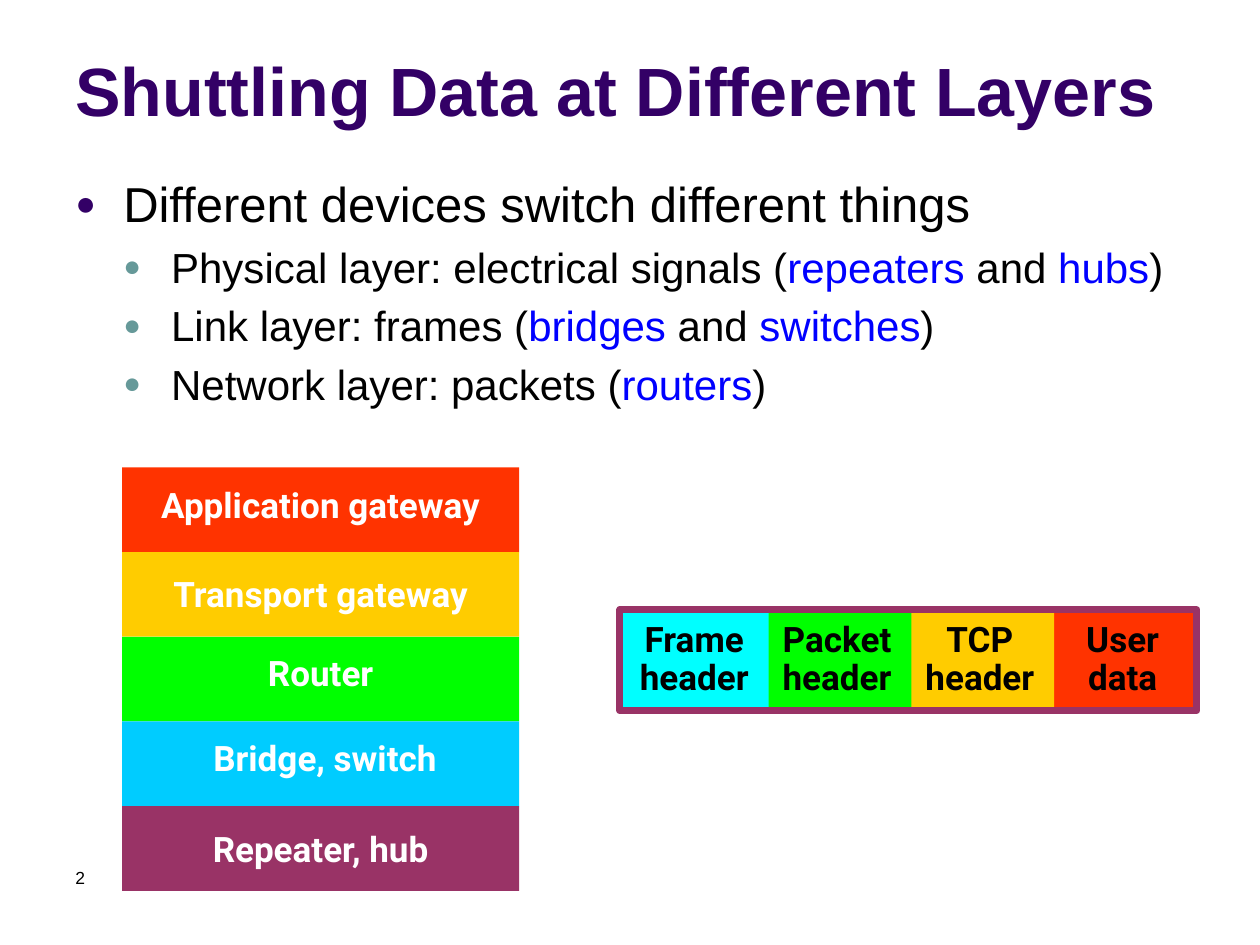
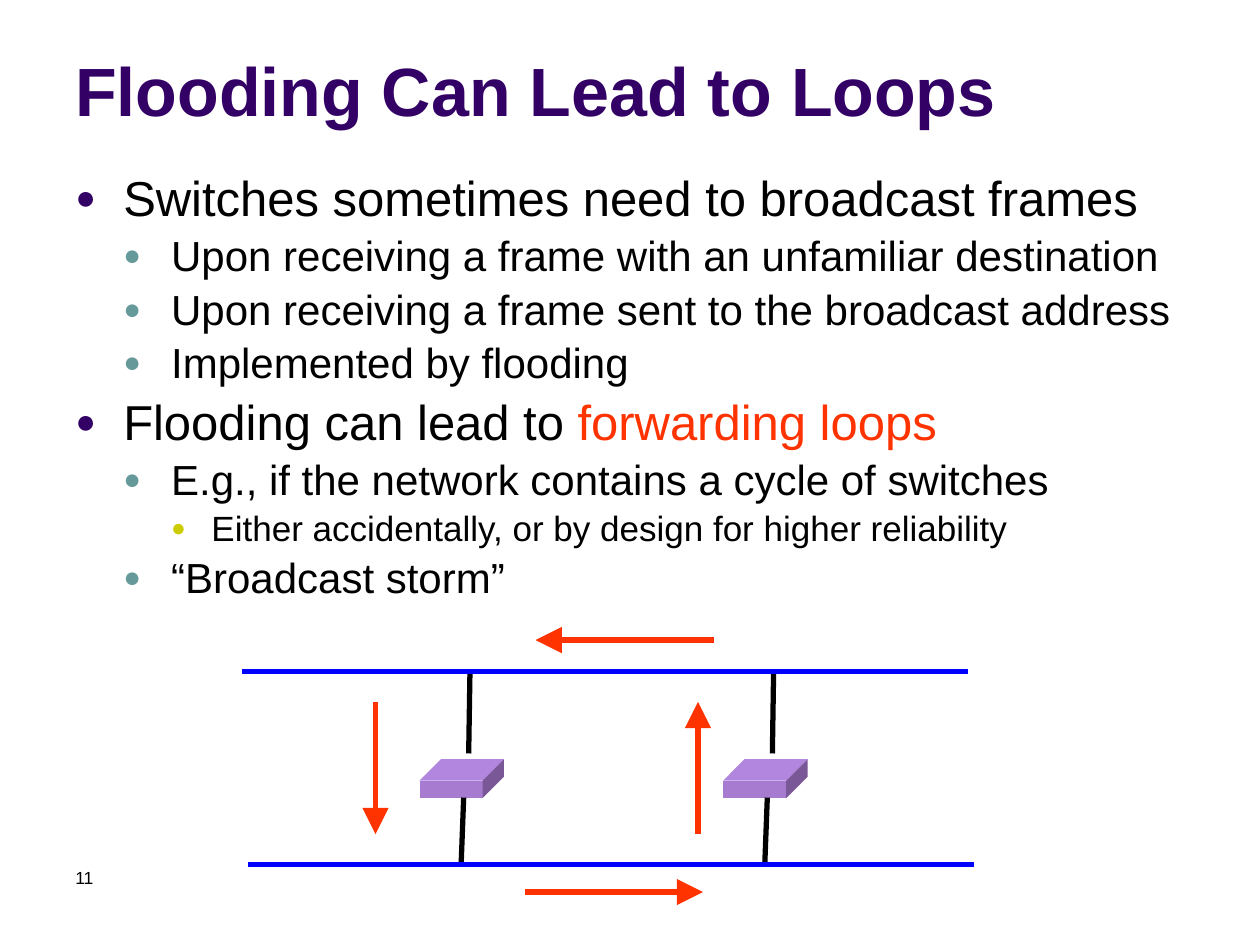
from lxml import etree
from pptx import Presentation
from pptx.dml.color import RGBColor
from pptx.enum.shapes import MSO_CONNECTOR, MSO_SHAPE
from pptx.enum.text import MSO_ANCHOR, PP_ALIGN
from pptx.oxml.ns import qn
from pptx.util import Inches, Pt

RECTANGLE = MSO_SHAPE.RECTANGLE
STRAIGHT = MSO_CONNECTOR.STRAIGHT
TOP, MIDDLE, BOTTOM = MSO_ANCHOR.TOP, MSO_ANCHOR.MIDDLE, MSO_ANCHOR.BOTTOM
LEFT, CENTER = PP_ALIGN.LEFT, PP_ALIGN.CENTER

SLIDE_WIDTH, SLIDE_HEIGHT = Inches(10), Inches(7.5)
COLUMNS = 100
CELL = SLIDE_WIDTH / COLUMNS

THEME = {
    "text_font": "Arial",
    "label_font": "Roboto",
    "sizes": {"title": 39, "label": 20, "number": 10},
    "levels": [
        {"size": 28, "bullet": "330066", "indent": 3.8, "hang": 3.8},
        {"size": 24, "bullet": "669999", "indent": 7.6, "hang": 3.8},
        {"size": 20, "bullet": "CCCC00", "indent": 10.8, "hang": 3.2},
    ],
    "colors": {
        "title": "330066", "black": "000000", "white": "FFFFFF",
        "blue": "0000FF", "red": "FF3300", "amber": "FFCC00",
        "green": "00FF00", "cyan": "00FFFF", "sky": "00CCFF",
        "plum": "993366", "front": "A77CD0", "top": "B286DE", "side": "7A5898",
    },
    "line": 3,
    "frame": 4,
}

TITLE_BOX = (5, 1.3, 90, 9.5)
NUMBER_BOX = (5, 68.3, 23.3, 5)

LAYERS_SLIDE = {
    "title": "Shuttling Data at Different Layers",
    "number": "2",
    "body_box": (5, 13.3, 92.5, 22.9),
    "line_spacing": 1.0,
    "body": [
        (0, [("Different devices switch different things", "black")]),
        (1, [("Physical layer: electrical signals (", "black"), ("repeaters", "blue"),
             (" and ", "black"), ("hubs", "blue"), (")", "black")]),
        (1, [("Link layer: frames (", "black"), ("bridges", "blue"),
             (" and ", "black"), ("switches", "blue"), (")", "black")]),
        (1, [("Network layer: packets (", "black"), ("routers", "blue"), (")", "black")]),
    ],
}
LOOPS_SLIDE = {
    "title": "Flooding Can Lead to Loops",
    "number": "11",
    "body_box": (5, 13.3, 92.5, 35.8),
    "line_spacing": 0.9,
    "body": [
        (0, [("Switches sometimes need to broadcast frames", "black")]),
        (1, [("Upon receiving a frame with an unfamiliar destination", "black")]),
        (1, [("Upon receiving a frame sent to the broadcast address", "black")]),
        (1, [("Implemented by flooding", "black")]),
        (0, [("Flooding can lead to ", "black"), ("forwarding loops", "red")]),
        (1, [("E.g., if the network contains a cycle of switches", "black")]),
        (2, [("Either accidentally, or by design for higher reliability", "black")]),
        (1, [("“Broadcast storm”", "black")]),
    ],
}

LAYER_STACK = {"left": 9.7, "top": 37.1, "width": 31.5, "height": 6.72}
LAYERS = [
    ("Application gateway", "red", 0.4),
    ("Transport gateway", "amber", 0.1),
    ("Router", "green", 0.5),
    (" Bridge, switch", "sky", 0.5),
    ("Repeater, hub", "plum", 0),
]
FRAME_BOX = (49.2, 48.4, 45.8, 8)
HEADER_WIDTH = 11.8
HEADERS = [
    ("Frame\vheader", "cyan"),
    ("Packet\vheader", "green"),
    ("TCP\vheader", "amber"),
    ("User\ndata", "red"),
]

UPPER_CABLE, LOWER_CABLE = 53.3, 68.6
CABLE_LENGTH = 57.6
CABLES = [(19.2, UPPER_CABLE), (19.7, LOWER_CABLE)]
SWITCH_LEFTS = [33.3, 57.4]
SWITCH = {"top": 61.95, "width": 5, "height": 1.4, "depth": 1.7}
SWITCH_LINKS = [
    ((4, UPPER_CABLE), (3.9, 59.8)),
    ((3.5, 63.3), (3.3, LOWER_CABLE)),
]
LOOP_ARROWS = [
    ((29.8, 55.7), (29.8, 66.2)),
    ((55.4, 66.2), (55.4, 55.7)),
    ((41.7, 70.8), (55.8, 70.8)),
    ((56.7, 50.8), (42.5, 50.8)),
]


def grid(*lengths):
    return [round(length * CELL) for length in lengths]


def color(name):
    return RGBColor.from_string(THEME["colors"].get(name, name))


def apply(target, values):
    for name, value in values.items():
        setattr(target, name, value)


def style_font(font, face, size, color_name, bold=False):
    apply(font, {"name": face, "size": Pt(size), "bold": bold})
    font.color.rgb = color(color_name)


def add_node(parent, tag, **attributes):
    return etree.SubElement(parent, qn(tag), attributes)


def add_text_box(slide, box, anchor=TOP):
    frame = slide.shapes.add_textbox(*grid(*box)).text_frame
    apply(frame, {"word_wrap": True, "vertical_anchor": anchor})
    return frame


def add_plain_text(slide, box, text, kind, color_name, bold=False, anchor=TOP):
    paragraph = add_text_box(slide, box, anchor).paragraphs[0]
    run = paragraph.add_run()
    run.text = text
    style_font(run.font, THEME["text_font"], THEME["sizes"][kind], color_name, bold)


def format_bullet(paragraph, level, line_spacing):
    style = THEME["levels"][level]
    apply(paragraph, {"level": level, "alignment": LEFT, "line_spacing": line_spacing})
    properties = paragraph._p.get_or_add_pPr()
    margin, hang = grid(style["indent"], style["hang"])
    properties.set("marL", str(margin))
    properties.set("indent", str(-hang))
    add_node(add_node(properties, "a:spcBef"), "a:spcPct", val="20000")
    add_node(add_node(properties, "a:buClr"), "a:srgbClr", val=style["bullet"])
    add_node(properties, "a:buSzPct", val="70000")
    add_node(properties, "a:buFont", typeface=THEME["text_font"])
    add_node(properties, "a:buChar", char="●")


def add_body(slide, content):
    frame = add_text_box(slide, content["body_box"])
    for index, (level, pieces) in enumerate(content["body"]):
        paragraph = frame.add_paragraph() if index else frame.paragraphs[0]
        format_bullet(paragraph, level, content["line_spacing"])
        for text, color_name in pieces:
            run = paragraph.add_run()
            run.text = text
            size = THEME["levels"][level]["size"]
            style_font(run.font, THEME["text_font"], size, color_name)


def add_content_slide(presentation, content):
    slide = presentation.slides.add_slide(presentation.slide_layouts[6])
    add_plain_text(slide, NUMBER_BOX, content["number"], "number", "black")
    add_plain_text(slide, TITLE_BOX, content["title"], "title", "title", True, BOTTOM)
    add_body(slide, content)
    return slide


def fill_shape(shape, color_name):
    shape.shadow.inherit = False
    shape.fill.solid()
    shape.fill.fore_color.rgb = color(color_name)
    shape.line.fill.background()


def add_label_block(slide, box, text, fill, text_color, line_spacing=1.0, lift=0):
    shape = slide.shapes.add_shape(RECTANGLE, *grid(*box))
    fill_shape(shape, fill)
    frame = shape.text_frame
    frame.text = text
    apply(frame, {"word_wrap": False, "vertical_anchor": MIDDLE, "margin_left": 0,
                  "margin_right": 0, "margin_top": 0, "margin_bottom": grid(2 * lift)[0]})
    for paragraph in frame.paragraphs:
        apply(paragraph, {"alignment": CENTER, "line_spacing": line_spacing})
        for run in paragraph.runs:
            style_font(run.font, THEME["label_font"], THEME["sizes"]["label"], text_color, True)


def add_line(slide, start, end, color_name, arrow=False):
    connector = slide.shapes.add_connector(STRAIGHT, *grid(*start, *end))
    connector.line.width = Pt(THEME["line"])
    connector.line.color.rgb = color(color_name)
    if arrow:
        add_node(connector.line._get_or_add_ln(), "a:tailEnd", type="triangle", w="lg", len="lg")
    add_node(connector._element.spPr, "a:effectLst")


def add_face(slide, points, color_name):
    corners = [grid(*point) for point in points]
    builder = slide.shapes.build_freeform(*corners[0])
    builder.add_line_segments(corners[1:], close=True)
    fill_shape(builder.convert_to_shape(), color_name)


def add_switch(slide, left):
    top, depth = SWITCH["top"], SWITCH["depth"]
    right, bottom = left + SWITCH["width"], top + SWITCH["height"]
    back_top, back_right = top - depth, right + depth
    faces = {
        "front": [(left, top), (right, top), (right, bottom), (left, bottom)],
        "top": [(left, top), (left + depth, back_top), (back_right, back_top), (right, top)],
        "side": [(right, top), (back_right, back_top), (back_right, bottom - depth),
                 (right, bottom)],
    }
    for color_name, points in faces.items():
        add_face(slide, points, color_name)


def add_layer_stack(slide):
    left, top, width, height = LAYER_STACK.values()
    for row, (text, fill, lift) in enumerate(LAYERS):
        box = (left, top + row * height, width, height)
        add_label_block(slide, box, text, fill, "white", lift=lift)


def add_frame_layout(slide):
    left, top, width, height = FRAME_BOX
    pitch = (width - HEADER_WIDTH) / (len(HEADERS) - 1)
    for column, (text, fill) in reversed(list(enumerate(HEADERS))):
        box = (left + column * pitch, top, HEADER_WIDTH, height)
        add_label_block(slide, box, text, fill, "black", line_spacing=0.9)
    outline = slide.shapes.add_shape(RECTANGLE, *grid(*FRAME_BOX))
    outline.shadow.inherit = False
    outline.fill.background()
    outline.line.color.rgb = color("plum")
    outline.line.width = Pt(THEME["frame"])


def add_loop_diagram(slide):
    for left in SWITCH_LEFTS:
        add_switch(slide, left)
        for (start_x, start_y), (end_x, end_y) in SWITCH_LINKS:
            add_line(slide, (left + start_x, start_y), (left + end_x, end_y), "black")
    for left, top in CABLES:
        add_line(slide, (left, top), (left + CABLE_LENGTH, top), "blue")
    for start, end in LOOP_ARROWS:
        add_line(slide, start, end, "red", arrow=True)


def main():
    presentation = Presentation()
    apply(presentation, {"slide_width": SLIDE_WIDTH, "slide_height": SLIDE_HEIGHT})
    layers_slide = add_content_slide(presentation, LAYERS_SLIDE)
    add_layer_stack(layers_slide)
    add_frame_layout(layers_slide)
    add_loop_diagram(add_content_slide(presentation, LOOPS_SLIDE))
    presentation.save("out.pptx")


if __name__ == "__main__":
    main()
